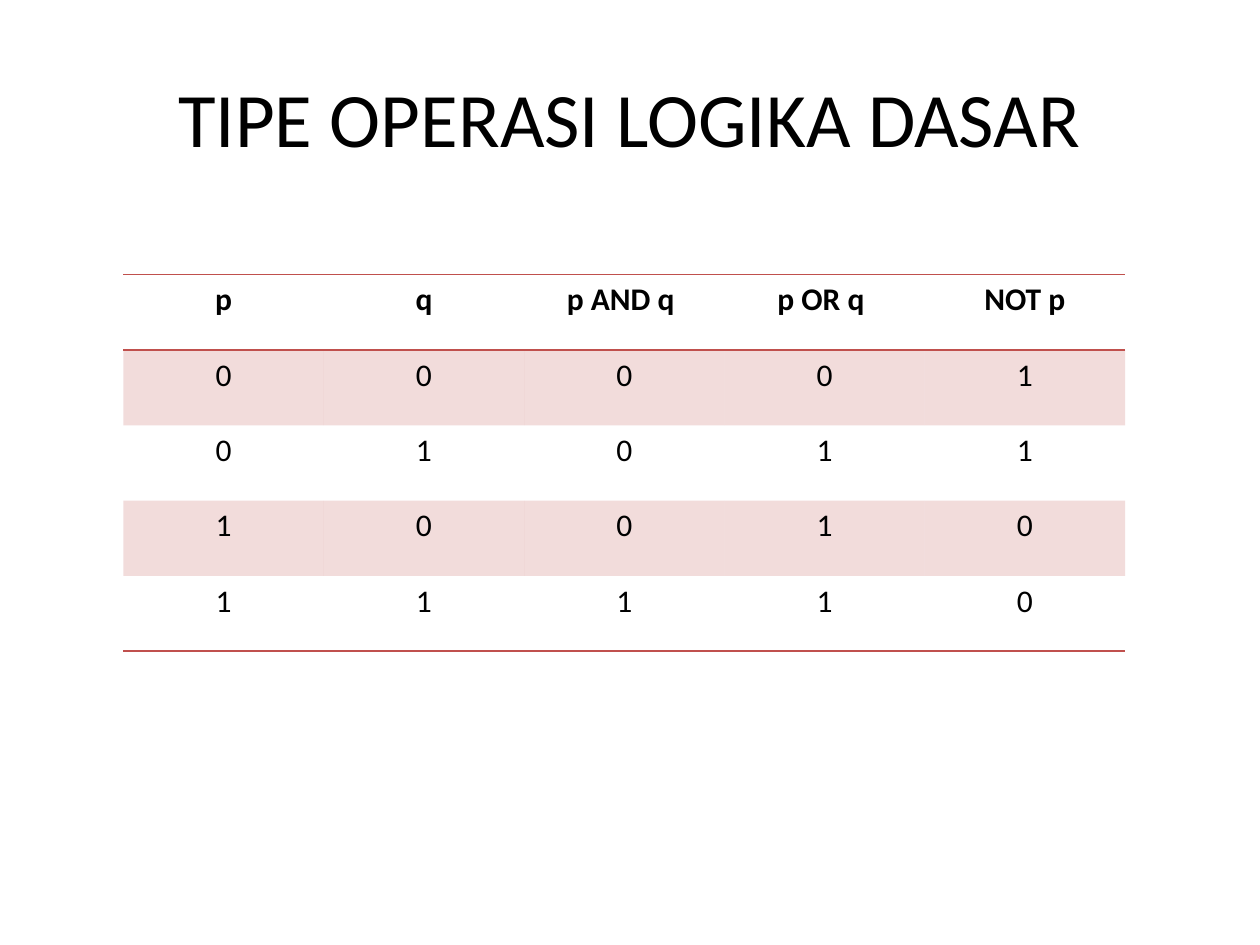
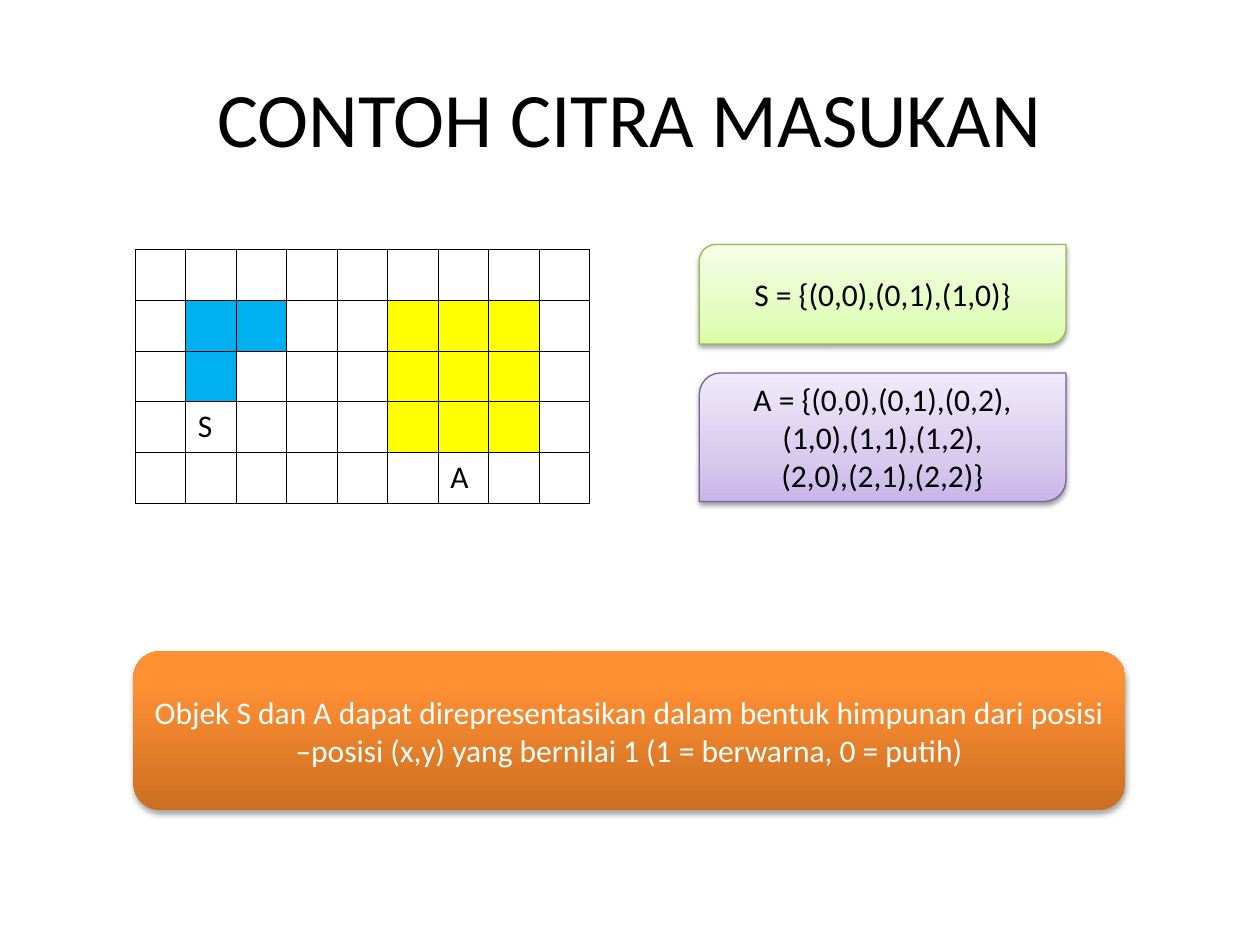
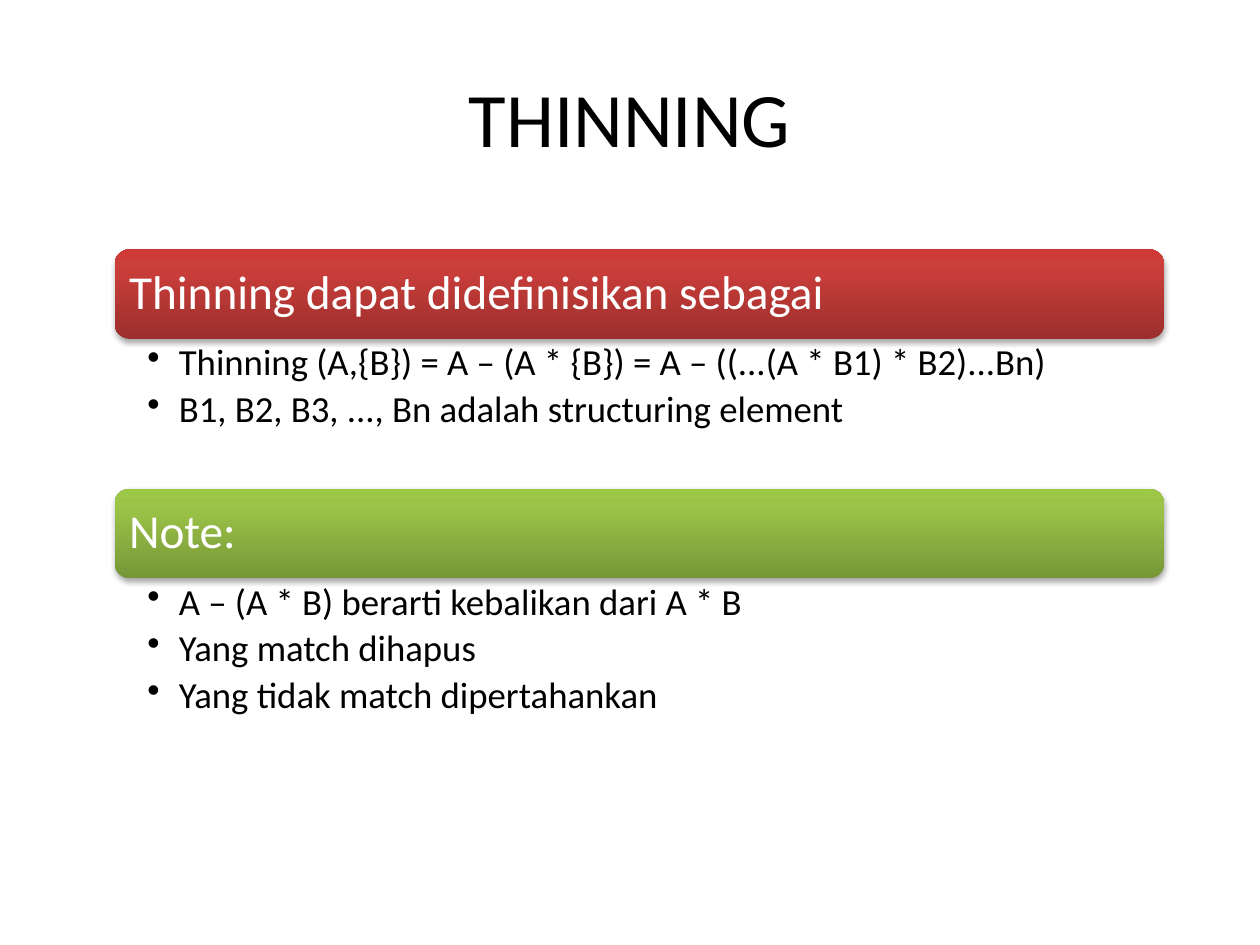
from dataclasses import dataclass

from pptx import Presentation, oxml
from pptx import util as u
from pptx.dml.color import RGBColor
from pptx.enum import shapes, text
from pptx.oxml import ns

FONT = "Calibri"
BLACK, WHITE, RED = "000000", "FFFFFF", "C0504D"
BLUE, YELLOW = "00B0F0", "FFFF00"
PLAIN = "{2D5ABB26-0587-4C30-8999-92F81FD0307C}"
LEFT, MID = text.PP_ALIGN.LEFT, text.PP_ALIGN.CENTER
TOP, CENTRE = text.MSO_ANCHOR.TOP, text.MSO_ANCHOR.MIDDLE
ROUND = shapes.MSO_SHAPE.ROUNDED_RECTANGLE
LEAF = shapes.MSO_SHAPE.ROUND_2_DIAG_RECTANGLE
Box = tuple[float, float, float, float]


@dataclass(frozen=True)
class Look:
    stops: dict[int, str]
    ink: str
    edge: str = ""
    drop: float = 1.8
    shade: int = 35


@dataclass(frozen=True)
class Part:
    head: str
    items: list[str]
    look: Look


LIME = Look({0: "DAFDA7", 35: "E4FCC2", 100: "F5FFE7"}, BLACK, "98B955", 1.6, 38)
LILAC = Look({0: "C9B5E8", 35: "D8CBEE", 100: "F0EAF9"}, BLACK, "7D60A0", 1.6, 38)
ORANGE = Look({0: "CC6E20", 80: "FF9034", 100: "FF9136"}, WHITE)
CRIMSON = Look({0: "9C2F2D", 80: "CB3E3A", 100: "CE3B37"}, WHITE)
GREEN = Look({0: "779737", 80: "9BC348", 100: "9DC746"}, WHITE)


def hue(code: str) -> RGBColor:
    return RGBColor.from_string(code)


def node(tag: str, inner: str = "", attrs: str = ""):
    return oxml.parse_xml(f'<a:{tag} {ns.nsdecls("a")} {attrs}>{inner}</a:{tag}>')


def paint(code: str, alpha: int = 100) -> str:
    tint = f'<a:alpha val="{alpha * 1000}"/>' if alpha < 100 else ""
    return f'<a:srgbClr val="{code}">{tint}</a:srgbClr>'


def place(box: Box) -> list[int]:
    return [u.Inches(side) for side in box]


def write(frame, words: str | list[str], *, size: float = 18, ink: str = BLACK,
          bold: bool = False, align=LEFT, lead: float = 1, after: float = 0,
          bullet: bool = False) -> None:
    lines = [words] if isinstance(words, str) else words
    for i, line in enumerate(lines):
        para = frame.add_paragraph() if i else frame.paragraphs[0]
        para.alignment, para.line_spacing = align, lead
        para.space_after = u.Pt(after)
        run = para.add_run()
        run.text = line
        font = run.font
        font.name, font.size, font.bold = FONT, u.Pt(size), bold
        font.color.rgb = hue(ink)
        if bullet:
            props = para._p.get_or_add_pPr()
            props.set("marL", str(u.Inches(0.25)))
            props.set("indent", str(u.Inches(-0.25)))
            props.append(node("buChar", attrs='char="•"'))


def setup(frame, anchor, pad: Box = (0.1, 0.05, 0.1, 0.05)) -> None:
    frame.word_wrap, frame.vertical_anchor = True, anchor
    (frame.margin_left, frame.margin_top,
     frame.margin_right, frame.margin_bottom) = place(pad)


def start(deck, title: str):
    slide = deck.slides.add_slide(deck.slide_layouts[6])
    frame = slide.shapes.add_textbox(*place((0.5, 0.3, 9, 1.25))).text_frame
    setup(frame, CENTRE)
    write(frame, title, size=44, align=MID)
    return slide


def panel(slide, kind, box: Box, look: Look):
    shape = slide.shapes.add_shape(kind, *place(box))
    shape.shadow.inherit = False
    if look.edge:
        shape.line.color.rgb, shape.line.width = hue(look.edge), u.Pt(0.75)
    else:
        shape.line.fill.background()
    stops = "".join(f'<a:gs pos="{pos * 1000}">{paint(code)}</a:gs>'
                    for pos, code in look.stops.items())
    props = shape._element.spPr
    props.find(ns.qn("a:prstGeom")).addnext(
        node("gradFill", f'<a:gsLst>{stops}</a:gsLst><a:lin ang="16200000" scaled="0"/>',
             'rotWithShape="1"'))
    props.find(ns.qn("a:effectLst")).append(
        node("outerShdw", paint(BLACK, look.shade),
             f'blurRad="{u.Pt(3.1)}" dist="{u.Pt(look.drop)}" dir="5400000" rotWithShape="0"'))
    setup(shape.text_frame, CENTRE)
    return shape.text_frame


def grid(slide, box: Box, rows: int, cols: int):
    table = slide.shapes.add_table(rows, cols, *place(box)).table
    table.first_row = table.horz_banding = False
    table._tbl.tblPr.find(ns.qn("a:tableStyleId")).text = PLAIN
    for col in table.columns:
        col.width = u.Inches(box[2] / cols)
    for row in table.rows:
        row.height = u.Inches(box[3] / rows)
    return table


def style(cell, sides: str, edge: str, width: float, fill: str = "", alpha: int = 100) -> None:
    props = cell._tc.get_or_add_tcPr()
    for side in sides:
        props.append(node(f"ln{side}", f"<a:solidFill>{paint(edge)}</a:solidFill>",
                          f'w="{u.Pt(width)}"'))
    props.append(node("solidFill", paint(fill, alpha)) if fill else node("noFill"))


def logic(deck) -> None:
    slide = start(deck, "TIPE OPERASI LOGIKA DASAR")
    rows = [["p", "q", "p AND q ", "p OR q ", "NOT p"],
            *map(list, ("00001", "01011", "10010", "11110"))]
    table = grid(slide, (0.98, 2.18, 7.95, 2.99), len(rows), len(rows[0]))
    rules = {0: "TB", len(rows) - 1: "B"}
    for r, row in enumerate(rows):
        for c, word in enumerate(row):
            cell = table.cell(r, c)
            style(cell, rules.get(r, ""), RED, 1, RED if r % 2 else "", 20)
            write(cell.text_frame, word, bold=r == 0, align=MID)


def image(deck) -> None:
    slide = start(deck, "CONTOH CITRA MASUKAN")
    cells = [".........",
             ".bb..yyy.",
             ".b...yyy.",
             ".S...yyy.",
             "......A.."]
    fills = {"b": BLUE, "y": YELLOW}
    table = grid(slide, (1.07, 1.98, 3.61, 2.01), len(cells), len(cells[0]))
    for r, row in enumerate(cells):
        for c, mark in enumerate(row):
            cell = table.cell(r, c)
            style(cell, "LRTB", BLACK, 0.25, fills.get(mark, ""))
            if mark.isupper():
                write(cell.text_frame, mark)
    notes = [
        (LEAF, (5.55, 1.94, 2.91, 0.79), LIME, "S = {(0,0),(0,1),(1,0)}"),
        (LEAF, (5.55, 2.96, 2.91, 1.02), LILAC,
         ["A = {(0,0),(0,1),(0,2),", "(1,0),(1,1),(1,2),", "(2,0),(2,1),(2,2)}"]),
        (ROUND, (1.06, 5.17, 7.87, 1.26), ORANGE,
         "Objek S dan A dapat direpresentasikan dalam bentuk himpunan dari posisi "
         "–posisi (x,y) yang bernilai 1 (1 = berwarna, 0 = putih)"),
    ]
    for kind, box, look, words in notes:
        write(panel(slide, kind, box, look), words, ink=look.ink, align=MID)


def thin(deck) -> None:
    slide = start(deck, "THINNING")
    parts = [
        Part("Thinning dapat didefinisikan sebagai",
             ["Thinning (A,{B}) = A – (A * {B}) = A – ((...(A * B1) * B2)...Bn)",
              "B1, B2, B3, ..., Bn adalah structuring element"], CRIMSON),
        Part("Note:",
             ["A – (A * B) berarti kebalikan dari A * B",
              "Yang match dihapus",
              "Yang tidak match dipertahankan"], GREEN),
    ]
    left, width, bar, body = 0.91, 8.33, 0.71, 1.19
    for i, part in enumerate(parts):
        top = 1.98 + i * (bar + body)
        frame = panel(slide, ROUND, (left, top, width, bar), part.look)
        setup(frame, CENTRE, (0.08, 0.08, 0.08, 0.08))
        write(frame, part.head, size=27, ink=part.look.ink, lead=0.9)
        frame = slide.shapes.add_textbox(*place((left, top + bar, width, body))).text_frame
        setup(frame, TOP, (0.26, 0.04, 0.21, 0.04))
        write(frame, part.items, size=21, lead=0.9, after=4, bullet=True)


def main() -> None:
    deck = Presentation()
    deck.slide_width, deck.slide_height = u.Inches(10), u.Inches(7.5)
    for draw in (logic, image, thin):
        draw(deck)
    deck.save("out.pptx")


main()
